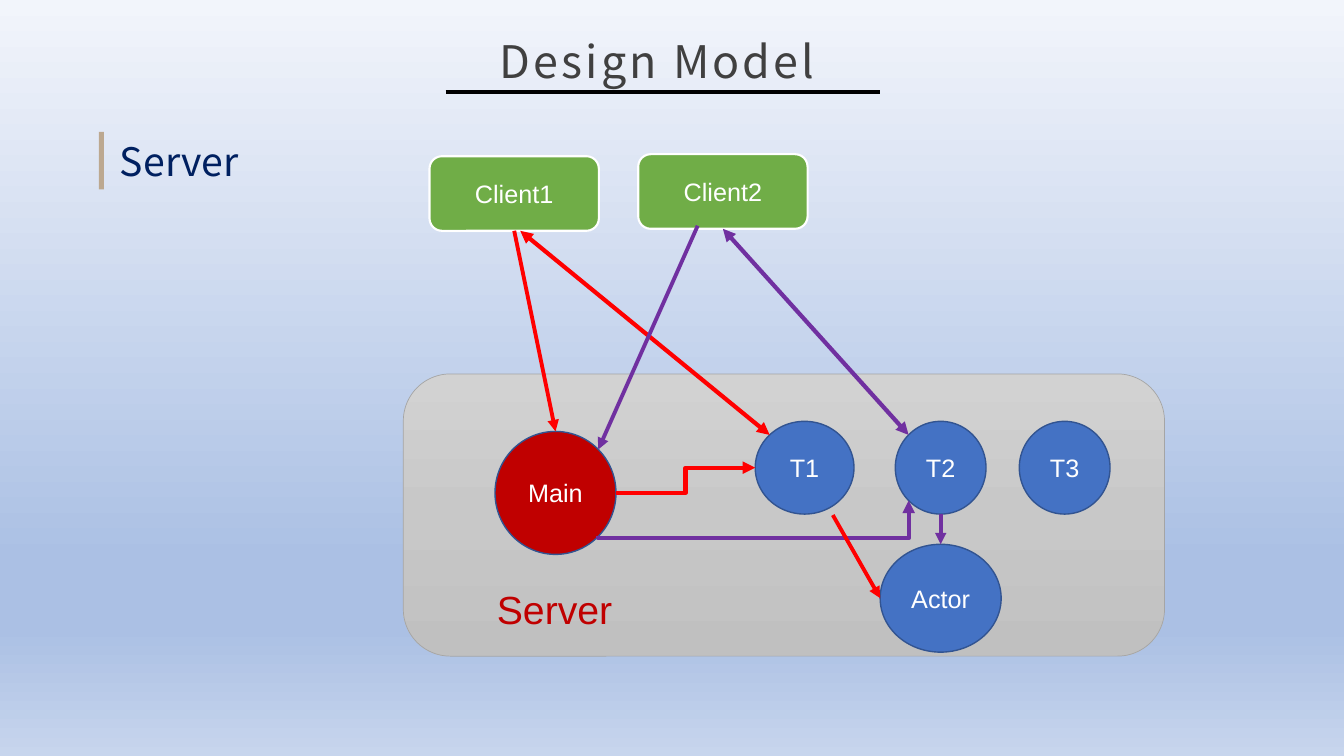
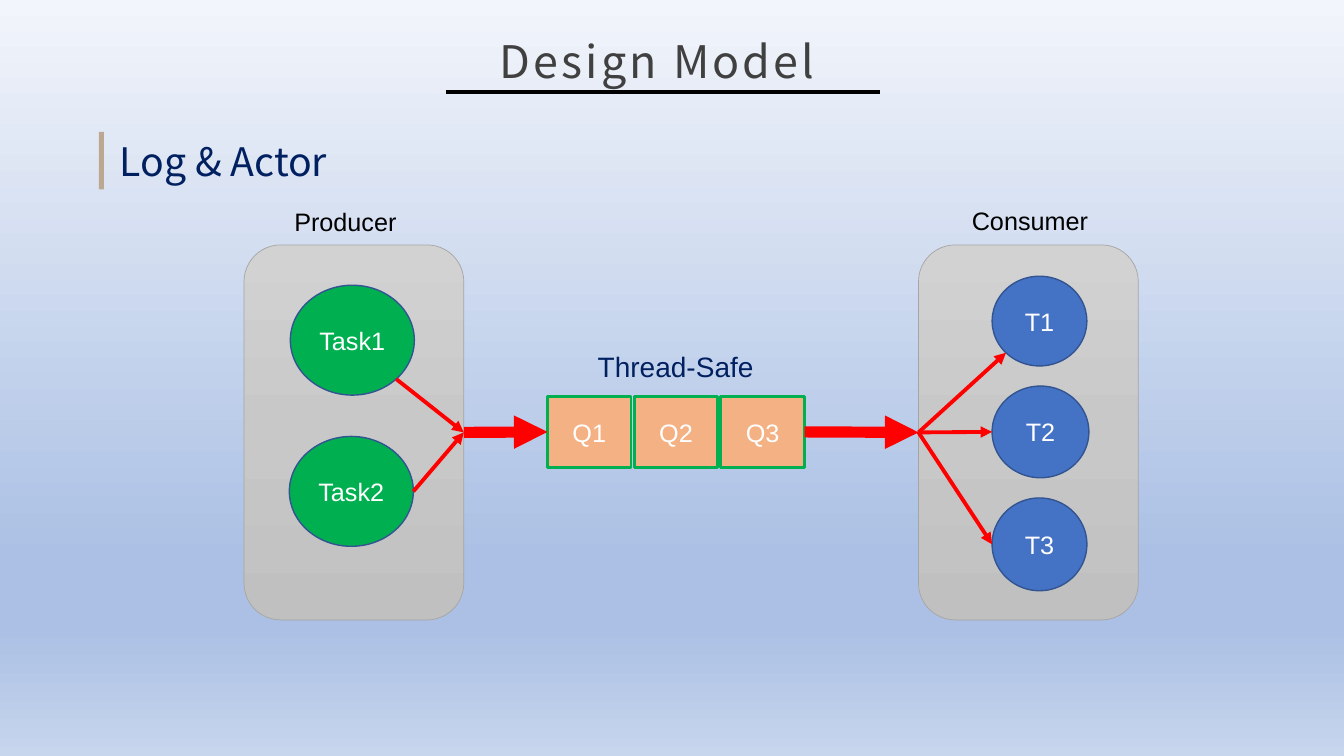
from math import cos, radians, sin

from lxml.etree import SubElement
from pptx import Presentation
from pptx.dml.color import RGBColor
from pptx.enum.shapes import MSO_CONNECTOR as Line, MSO_SHAPE as Shape
from pptx.enum.text import MSO_ANCHOR as Anchor, MSO_AUTO_SIZE as AutoSize, PP_ALIGN as Align
from pptx.oxml.ns import qn
from pptx.util import Inches, Pt

COLORS = {
    "title": "404040", "heading": "002060", "bar": "BCA890", "black": "000000",
    "white": "FFFFFF", "client": "70AD47", "main": "C00000", "thread": "4472C4",
    "task": "00B050", "queue": "F4B183", "outline": "325491", "panel_line": "A5A5A5",
    "red": "FF0000", "purple": "7030A0",
}
PAGE_STOPS = [(0, "F2F5FB"), (74, "ABC0E4"), (83, "ABC0E4"), (100, "C7D5ED")]
PANEL_STOPS = [(0, "D2D2D2"), (50, "C8C8C8"), (100, "C0C0C0")]
HEAD_FONT, BODY_FONT = "Noto Sans CJK SC", "Arial"
# Connection site and direction in degrees (clockwise from the right)
SIDES = {"top": (0, -90), "left": (1, 180), "bottom": (2, 90), "right": (3, 0)}


def rgb(name):
    return RGBColor.from_string(COLORS[name])


def inches(*lengths):
    return [Inches(length) for length in lengths]


# ---- Basic parts ----

def vertical_gradient(fill, owner, stops):
    """Give the fill of the owner element a top-to-bottom gradient."""
    fill.gradient()
    fill.gradient_angle = 270
    stop_list = owner.find(".//" + qn("a:gsLst"))
    for stop in list(stop_list):
        stop_list.remove(stop)
    for percent, color in stops:
        stop = SubElement(stop_list, qn("a:gs"), pos=str(percent * 1000))
        SubElement(stop, qn("a:srgbClr"), val=color)


def write(frame, text, size, color, font=BODY_FONT, align=Align.LEFT):
    paragraph = frame.paragraphs[0]
    paragraph.text = text
    paragraph.alignment = align
    paragraph.font.name = font
    paragraph.font.size = Pt(size)
    paragraph.font.color.rgb = rgb(color)
    return paragraph


def add_box(slide, kind, box, fill=None, line=None, width=1.0, text=None):
    """Add a preset shape, with a centred white caption if text is given."""
    shape = slide.shapes.add_shape(kind, *inches(*box))
    shape.shadow.inherit = False
    if fill:
        shape.fill.solid()
        shape.fill.fore_color.rgb = rgb(fill)
    if line:
        shape.line.color.rgb = rgb(line)
        shape.line.width = Pt(width)
    else:
        shape.line.fill.background()
    if text:
        frame = shape.text_frame
        frame.margin_left = frame.margin_right = 0
        frame.vertical_anchor = Anchor.MIDDLE
        write(frame, text, 18, "white", align=Align.CENTER)
    return shape


def add_panel(slide, box):
    panel = add_box(slide, Shape.ROUNDED_RECTANGLE, box, line="panel_line", width=0.5)
    vertical_gradient(panel.fill, panel.element, PANEL_STOPS)
    return panel


def add_oval(slide, text, box, fill="thread"):
    return add_box(slide, Shape.OVAL, box, fill, "outline", text=text)


def add_label(slide, text, box, size, color):
    label = slide.shapes.add_textbox(*inches(*box))
    label.text_frame.word_wrap = True
    write(label.text_frame, text, size, color)


def locate(end):
    """Point of an end: (shape, side name), (oval, degrees) or (x, y)."""
    place, where = end
    if isinstance(place, (int, float)):
        return inches(place, where)
    angle = radians(SIDES[where][1] if isinstance(where, str) else where)
    return (int(place.left + place.width / 2 * (1 + cos(angle))),
            int(place.top + place.height / 2 * (1 + sin(angle))))


def style_line(connector, color, width, head=False, tail=False):
    connector.line.color.rgb = rgb(color)
    connector.line.width = Pt(width)
    outline = connector.line._get_or_add_ln()
    for tag, wanted in (("a:headEnd", head), ("a:tailEnd", tail)):
        if wanted:
            SubElement(outline, qn(tag), type="triangle")
    SubElement(connector.element.spPr, qn("a:effectLst"))


def add_arrow(slide, start, end, color="red", width=2.75, both=False, kind=Line.STRAIGHT):
    arrow = slide.shapes.add_connector(kind, *locate(start), *locate(end))
    for join, (place, where) in ((arrow.begin_connect, start), (arrow.end_connect, end)):
        if isinstance(where, str):
            join(place, SIDES[where][0])
    style_line(arrow, color, width, head=both, tail=True)


def add_under_arrow(slide, start, end, color, width, dip):
    """Elbow arrow that dips below its start, runs across and rises to its end."""
    (x1, y1), (x2, y2) = locate(start), locate(end)
    mid_x, mid_y = (x1 + x2) // 2, (y1 + y2) // 2
    half_x, half_y = (y2 - y1) // 2, (x1 - x2) // 2  # before the quarter turn
    arrow = slide.shapes.add_connector(
        Line.ELBOW, mid_x - half_x, mid_y - half_y, mid_x + half_x, mid_y + half_y)
    properties = arrow.element.spPr
    properties.find(qn("a:xfrm")).set("rot", "5400000")
    adjustments = properties.find(".//" + qn("a:avLst"))
    SubElement(adjustments, qn("a:gd"), name="adj1", fmla=f"val {-dip * 1000:.0f}")
    style_line(arrow, color, width, tail=True)


# ---- Shared slide frame ----

def fit_placeholder(placeholder, box):
    placeholder.left, placeholder.top, placeholder.width, placeholder.height = inches(*box)
    frame = placeholder.text_frame
    frame.auto_size = AutoSize.NONE
    frame.vertical_anchor = Anchor.MIDDLE
    return frame


def new_slide(prs, heading):
    slide = prs.slides.add_slide(prs.slide_layouts[1])
    title, body = slide.placeholders

    # Underlined title
    frame = fit_placeholder(title, (4.07, 0.3, 4.9, 0.61))
    title_line = write(frame, "Design Model", 32, "title", HEAD_FONT, Align.CENTER)
    title_line.runs[0]._r.get_or_add_rPr().set("spc", "220")
    underline = slide.shapes.add_connector(Line.STRAIGHT, *inches(4.42, 0.91, 8.73, 0.91))
    style_line(underline, "black", 3)

    # Heading with its bar
    add_box(slide, Shape.RECTANGLE, (0.98, 1.31, 0.05, 0.57), "bar")
    frame = fit_placeholder(body, (1.09, 1.31, 2.8, 0.57))
    heading_line = write(frame, heading, 28, "heading", HEAD_FONT)
    heading_line.space_before = Pt(0)
    properties = heading_line._p.get_or_add_pPr()
    properties.set("marL", "0")
    properties.set("indent", "0")
    properties.insert_element_before(
        properties.makeelement(qn("a:buNone"), {}), "a:tabLst", "a:defRPr", "a:extLst")
    return slide


# ---- Server slide ----

def add_clients(slide, x, y):
    return [add_box(slide, Shape.ROUNDED_RECTANGLE, (x + dx, y + dy, 1.68, 0.74),
                    "client", "white", 1.5, name)
            for name, dx, dy in (("Client1", 0, 0.02), ("Client2", 2.07, 0))]


def add_server(slide, x, y):
    add_panel(slide, (x, y, 7.55, 2.8))
    add_label(slide, "Server", (x + 0.83, y + 2.05, 2.08, 0.57), 28, "main")
    main = add_oval(slide, "Main", (x + 0.91, y + 0.57, 1.2, 1.22), "main")
    threads = [add_oval(slide, name, (x + dx, y + 0.47, width, 0.92))
               for name, dx, width in (("T1", 3.49, 0.98), ("T2", 4.88, 0.9), ("T3", 6.11, 0.9))]
    actor = add_oval(slide, "Actor", (x + 4.73, y + 1.69, 1.2, 1.07))

    # Hand-over from the main thread to the workers and on to the actor
    t1, t2, _ = threads
    add_arrow(slide, (main, 0), (t1, 180), width=3, kind=Line.ELBOW)
    add_under_arrow(slide, (main, 45), (t2, 135), "purple", 3, dip=5.5)
    add_arrow(slide, (x + 4.26, y + 1.4), (actor, 180))
    add_arrow(slide, (t2, 90), (actor, -90), "purple")
    return main, t1, t2


def server_slide(prs):
    slide = new_slide(prs, "Server")
    client1, client2 = add_clients(slide, 4.26, 1.53)
    main, t1, t2 = add_server(slide, 4, 3.71)
    add_arrow(slide, (client1, "bottom"), (main, -90))
    add_arrow(slide, (5.16, 2.29), (t1, -135), width=3, both=True)
    add_arrow(slide, (6.92, 2.24), (main, -45), "purple")
    add_arrow(slide, (client2, "bottom"), (t2, -135), "purple", 3, both=True)


# ---- Log & Actor slide ----

def add_producer(slide, x, y):
    panel = add_panel(slide, (x, y, 2.18, 3.72))
    add_label(slide, "Producer", (x + 0.4, y - 0.43, 1.82, 0.4), 18, "black")
    for name, dx, dy, exit_angle in (("Task1", 0.46, 0.4, 45), ("Task2", 0.45, 1.9, 0)):
        task = add_oval(slide, name, (x + dx, y + dy, 1.23, 1.09), "task")
        add_arrow(slide, (task, exit_angle), (panel, "right"))
    return panel


def add_queue(slide, x, y):
    add_label(slide, "Thread-Safe", (x + 0.4, y - 0.51, 2.04, 0.44), 20, "heading")
    return [add_box(slide, Shape.RECTANGLE, (x + 0.86 * i, y, 0.83, 0.71),
                    "queue", "task", 2, f"Q{i + 1}") for i in range(3)]


def add_consumer(slide, x, y):
    panel = add_panel(slide, (x, y, 2.18, 3.72))
    add_label(slide, "Consumer", (x + 0.43, y - 0.44, 1.82, 0.4), 18, "black")
    for name, dy, width, height, entry_angle in (
            ("T1", 0.31, 0.94, 0.89, 135), ("T2", 1.4, 0.96, 0.91, 180),
            ("T3", 2.51, 0.94, 0.92, 180)):
        thread = add_oval(slide, name, (x + 0.73, y + dy, width, height))
        add_arrow(slide, (panel, "right" if x < 0 else "left"), (thread, entry_angle))
    return panel


def log_slide(prs):
    slide = new_slide(prs, "Log & Actor")
    producer = add_producer(slide, 2.42, 2.43)
    cells = add_queue(slide, 5.43, 3.93)
    consumer = add_consumer(slide, 9.11, 2.43)
    add_arrow(slide, (producer, "right"), (cells[0], "left"), width=8)
    add_arrow(slide, (cells[-1], "right"), (consumer, "left"), width=8)


def main():
    prs = Presentation()
    prs.slide_width, prs.slide_height = inches(13.33, 7.5)
    master = prs.slide_master
    vertical_gradient(master.background.fill, master.element, PAGE_STOPS)
    server_slide(prs)
    log_slide(prs)
    prs.save("out.pptx")


if __name__ == "__main__":
    main()
